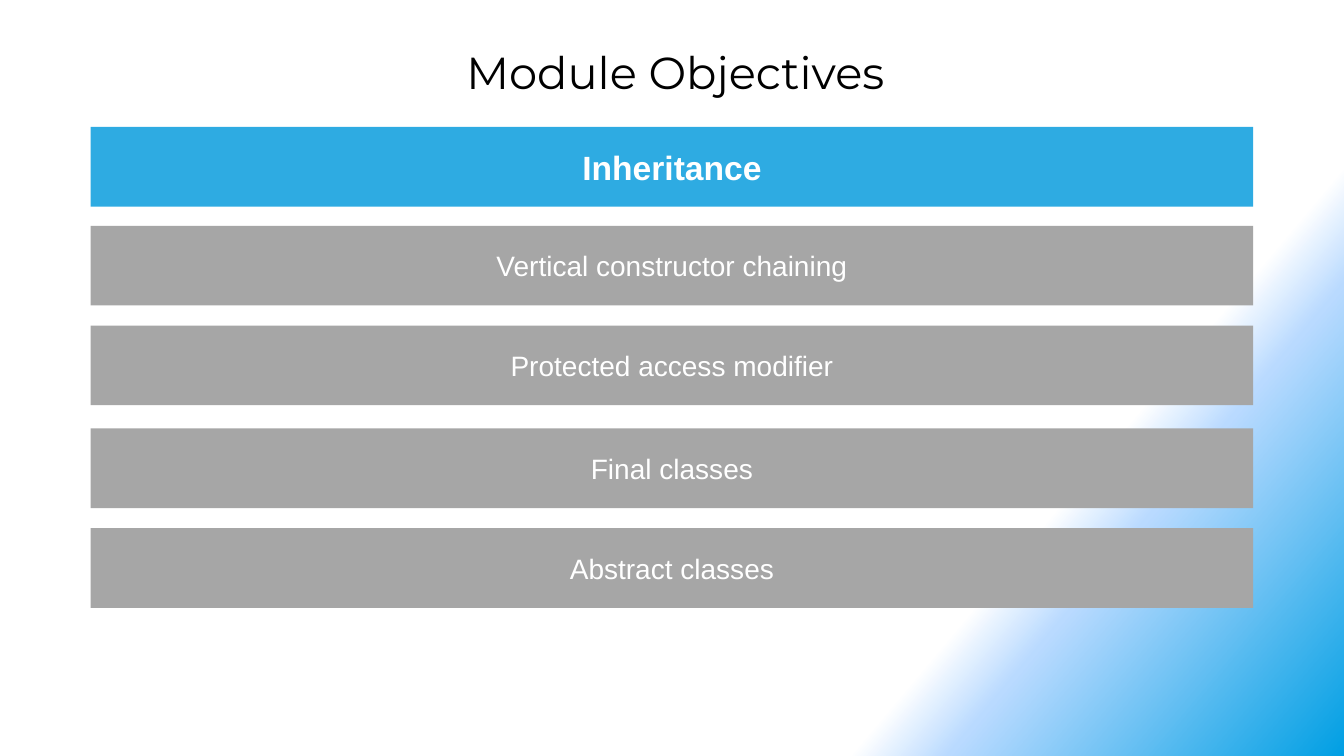
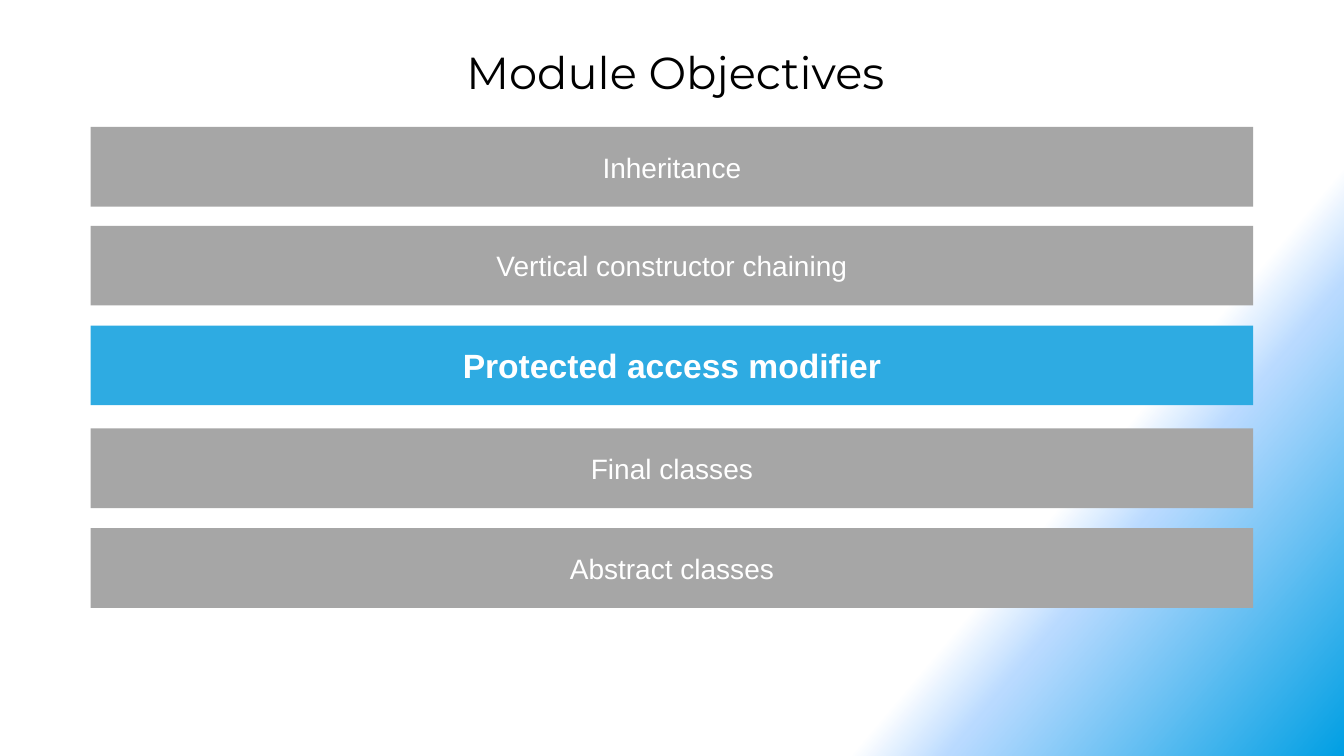
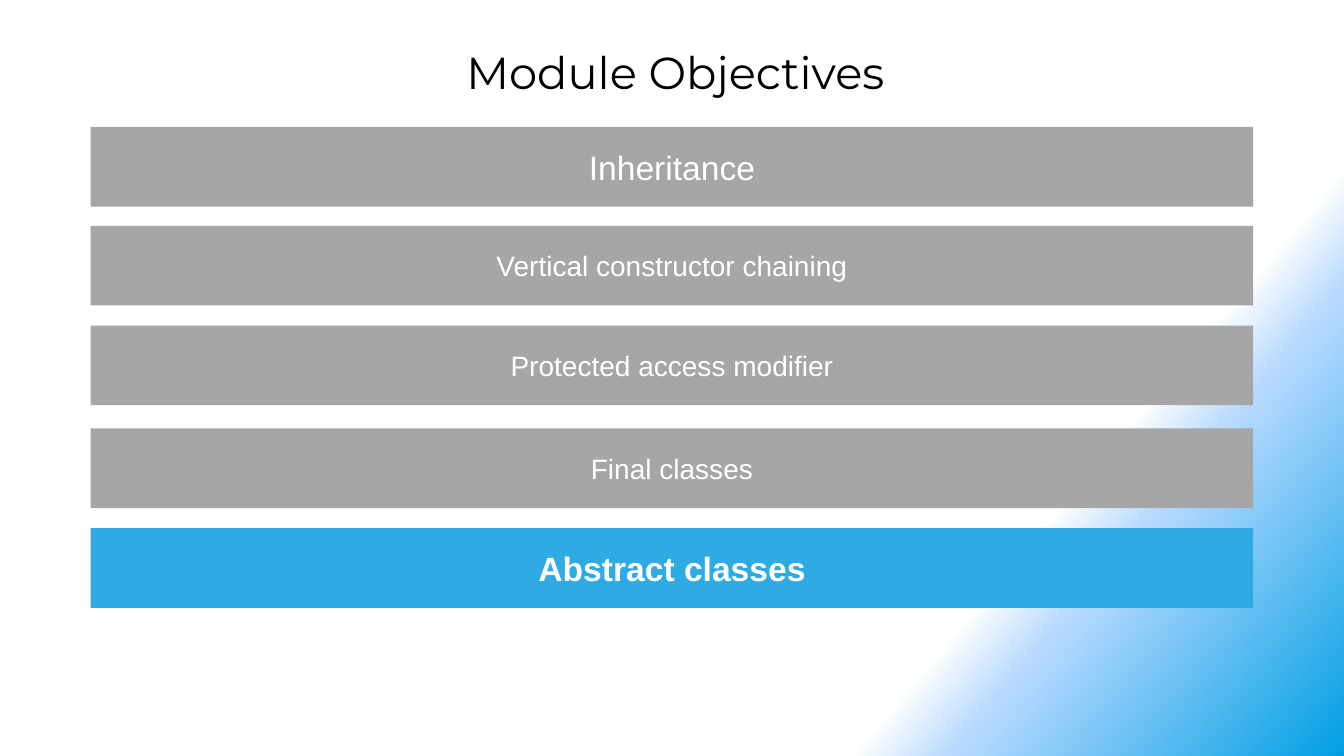
from lxml import etree
from pptx import Presentation
from pptx import util as u
from pptx.dml import color
from pptx.enum import shapes, text
from pptx.oxml import ns

# Shared look
WHITE, BLACK, GREY, BLUE = "FFFFFF", "000000", "A6A6A6", "2EABE2"
STOPS = [(75, WHITE, 100), (80, "B9DAFF", 50), (100, "009FE3", 100)]
ANGLE = 40
TITLE = (0.67, 0.39, 12.06, 0.64)
LIST = (0.9, 1.26, 11.53, 4.77)
BAR = 0.79

# Topics with their offsets from the top of the list
TOPICS = [
    ("Inheritance", 0),
    ("Vertical constructor chaining", 0.98),
    ("Protected access modifier", 1.97),
    ("Final classes", 2.99),
    ("Abstract classes", 3.98),
]


def rgb(code):
    return color.RGBColor.from_string(code)


def place(shape, box):
    shape.left, shape.top, shape.width, shape.height = map(u.Inches, box)


def write(shape, words, size=20, font="Arial", ink=WHITE, bold=False):
    frame = shape.text_frame
    frame.word_wrap = True
    frame.vertical_anchor = text.MSO_ANCHOR.MIDDLE
    para = frame.paragraphs[0]
    para.alignment = text.PP_ALIGN.CENTER
    run = para.add_run()
    run.text = words
    run.font.size = u.Pt(size)
    run.font.name = font
    run.font.bold = bold
    run.font.color.rgb = rgb(ink)


def shade(master):
    """Give every slide the diagonal gradient background."""
    fill = master.background.fill
    fill.gradient()
    grad = master.element.find(".//" + ns.qn("a:gradFill"))
    stops = grad.find(ns.qn("a:gsLst"))
    for old in list(stops):
        stops.remove(old)
    for pos, code, alpha in STOPS:
        stop = etree.SubElement(stops, ns.qn("a:gs"), pos=str(pos * 1000))
        tint = etree.SubElement(stop, ns.qn("a:srgbClr"), val=code)
        if alpha < 100:
            etree.SubElement(tint, ns.qn("a:alpha"), val=str(alpha * 1000))
    line = grad.find(ns.qn("a:lin"))
    line.set("ang", str(ANGLE * 60000))
    line.set("scaled", "0")


def head(slide, box):
    title = slide.shapes.title
    place(title, box)
    write(title, "Module Objectives", size=32, font="Montserrat", ink=BLACK)
    title.text_frame.auto_size = text.MSO_AUTO_SIZE.SHAPE_TO_FIT_TEXT


def topics(slide, box, active, large):
    """Stack the topic bars, with the active one highlighted."""
    left, top, width, _ = box
    for name, drop in TOPICS:
        on = name == active
        bar = slide.shapes.add_shape(
            shapes.MSO_SHAPE.RECTANGLE,
            *map(u.Inches, (left, top + drop, width, BAR)))
        bar.shadow.inherit = False
        bar.fill.solid()
        bar.fill.fore_color.rgb = rgb(BLUE if on else GREY)
        bar.line.fill.background()
        write(bar, name, size=24 if on or name in large else 20, bold=on)


def agenda(deck, active, large=()):
    slide = deck.slides.add_slide(deck.slide_layouts.get_by_name("Title Only"))
    head(slide, TITLE)
    topics(slide, LIST, active, large)


deck = Presentation()
deck.slide_width, deck.slide_height = u.Inches(13.33), u.Inches(7.5)
shade(deck.slide_master)
agenda(deck, "Inheritance")
agenda(deck, "Protected access modifier")
agenda(deck, "Abstract classes", large=("Inheritance",))
deck.save("out.pptx")
